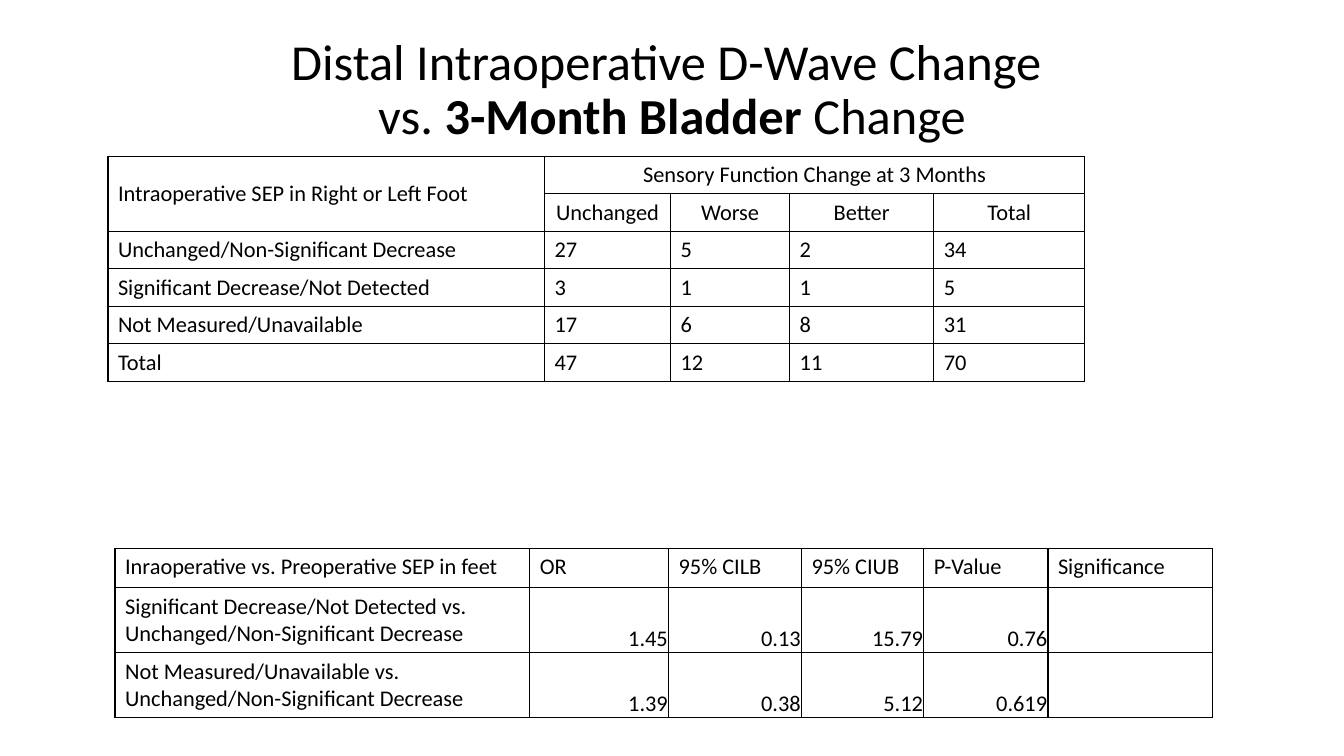
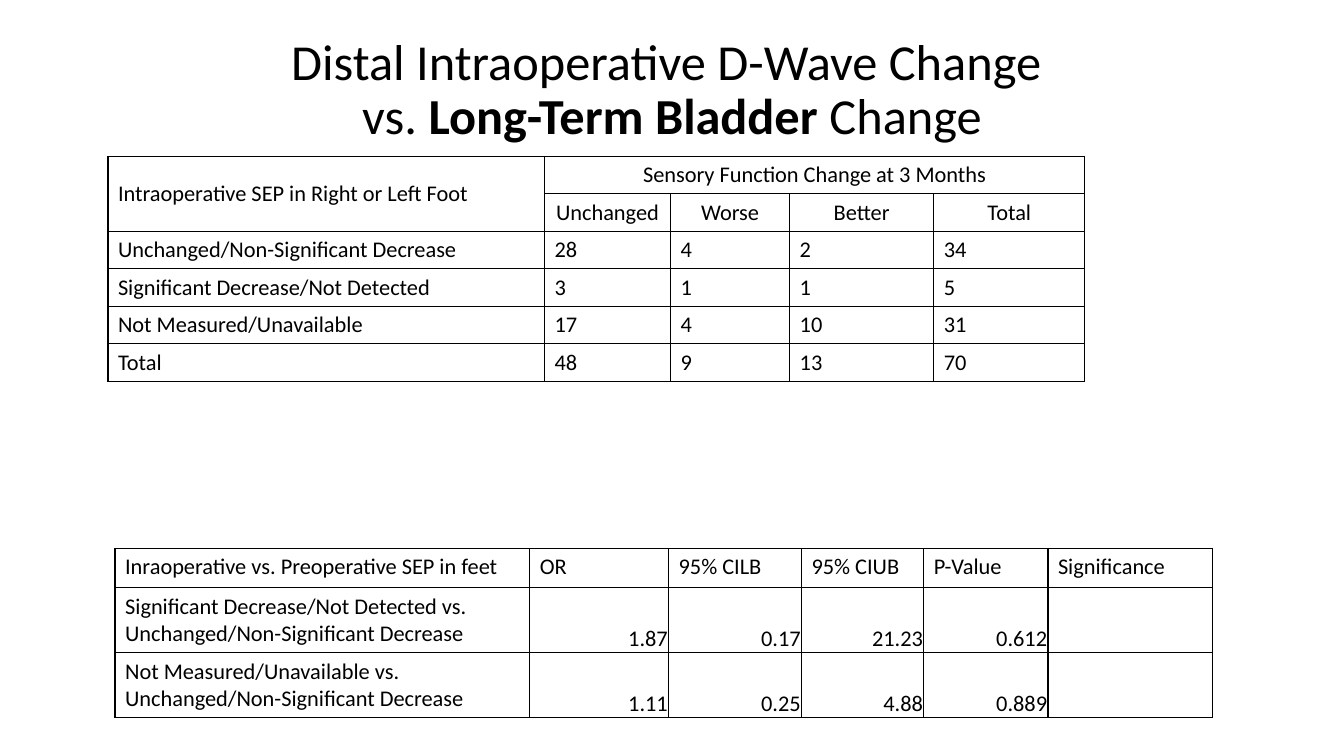
from lxml import etree
from pptx import Presentation
from pptx import util as u
from pptx.dml.color import RGBColor
from pptx.enum import text
from pptx.oxml import ns

HUES = {"ink": "000000", "paper": "FFFFFF"}
LEFT, MID, RIGHT = text.PP_ALIGN.LEFT, text.PP_ALIGN.CENTER, text.PP_ALIGN.RIGHT
TOP, CENTER, BASE = (
    text.MSO_ANCHOR.TOP, text.MSO_ANCHOR.MIDDLE, text.MSO_ANCHOR.BOTTOM)

SAME = "Unchanged/Non-Significant Decrease"
LESS = "Significant Decrease/Not Detected"
NONE = "Not Measured/Unavailable"


class Deck:
    face = "Calibri"
    head = 36
    body = 16

    def __init__(self):
        self.show = Presentation()
        self.show.slide_width = u.Cm(33.87)
        self.show.slide_height = u.Cm(19.05)
        self.page = None

    def slide(self):
        self.page = self.show.slides.add_slide(self.show.slide_layouts[5])
        fill = self.page.background.fill
        fill.solid()
        fill.fore_color.rgb = RGBColor.from_string(HUES["paper"])

    def style(self, run, size, bold=False):
        font = run.font
        font.name = self.face
        font.size = u.Pt(size)
        font.bold = bold
        font.color.rgb = RGBColor.from_string(HUES["ink"])

    def title(self, topic):
        box = self.page.shapes.title
        box.left, box.top = u.Cm(2.33), u.Cm(0.74)
        box.width, box.height = u.Cm(29.21), u.Cm(3.12)
        frame = box.text_frame
        frame.word_wrap = True
        frame.auto_size = text.MSO_AUTO_SIZE.NONE
        frame.vertical_anchor = CENTER
        para = frame.paragraphs[0]
        para.alignment = MID
        para.line_spacing = 0.9
        para.text = "Distal Intraoperative D-Wave Change \vvs. "
        for part in (topic + " ", "Change"):
            para.add_run().text = part
        for run in para.runs:
            self.style(run, self.head, run.text == topic + " ")

    def edge(self, cell):
        props = cell._tc.get_or_add_tcPr()
        for spot, side in enumerate(("lnL", "lnR", "lnT", "lnB")):
            line = etree.Element(ns.qn("a:" + side), w=str(u.Pt(1)))
            fill = etree.SubElement(line, ns.qn("a:solidFill"))
            etree.SubElement(fill, ns.qn("a:srgbClr"), val=HUES["ink"])
            props.insert(spot, line)

    def cell(self, cell, words, align=LEFT, anchor=TOP):
        cell.fill.background()
        self.edge(cell)
        cell.vertical_anchor = anchor
        para = cell.text_frame.paragraphs[0]
        para.text = words
        para.alignment = align
        for run in para.runs:
            self.style(run, self.body)

    def table(self, left, top, cols, rows, data, rule):
        grid = self.page.shapes.add_table(
            len(rows), len(cols), u.Cm(left), u.Cm(top),
            u.Cm(sum(cols)), u.Cm(sum(rows))).table
        grid.first_row = grid.horz_banding = False
        for col, width in zip(grid.columns, cols):
            col.width = u.Cm(width)
        for row, height in zip(grid.rows, rows):
            row.height = u.Cm(height)
        for r, line in enumerate(data):
            for c, words in enumerate(line):
                self.cell(grid.cell(r, c), words, *rule(r, c))
        return grid

    def counts(self, nums):
        def rule(r, c):
            return (MID if r < 2 and c else LEFT, CENTER if r == 0 else TOP)

        data = [
            ["Intraoperative SEP in Right or Left Foot",
             "Sensory Function Change at 3 Months", "", "", ""],
            ["", "Unchanged", "Worse", "Better", "Total"]]
        for name, line in zip((SAME, LESS, NONE, "Total"), nums):
            data.append([name] + line.split())
        grid = self.table(2.72, 3.94, [11, 3.18, 3, 3.63, 3.81],
                          [0.94] * 6, data, rule)
        grid.cell(0, 0).merge(grid.cell(1, 0))
        grid.cell(0, 1).merge(grid.cell(0, 4))

    def odds(self, nums):
        def rule(r, c):
            return (RIGHT, BASE) if r and 0 < c < 5 else (LEFT, TOP)

        data = [["Inraoperative vs. Preoperative SEP in feet", "OR",
                 "95% CILB", "95% CIUB", "P-Value", "Significance"]]
        for name, line in zip((LESS, NONE), nums):
            data.append([f"{name} vs. {SAME}"] + line.split() + [""])
        grid = self.table(2.9, 13.82, [10.45, 3.5, 3.35, 3.08, 3.13, 4.14],
                          [0.99, 1.64, 1.64], data, rule)
        for r in (1, 2):
            for c in range(1, 5):
                cell = grid.cell(r, c)
                cell.margin_left = cell.margin_right = u.Cm(0.02)
                cell.margin_top, cell.margin_bottom = u.Cm(0.02), u.Cm(0)


PAGES = [
    ("3-Month Bladder",
     ["27 5 2 34", "3 1 1 5", "17 6 8 31", "47 12 11 70"],
     ["1.45 0.13 15.79 0.76", "1.39 0.38 5.12 0.619"]),
    ("Long-Term Bladder",
     ["28 4 2 34", "3 1 1 5", "17 4 10 31", "48 9 13 70"],
     ["1.87 0.17 21.23 0.612", "1.11 0.25 4.88 0.889"]),
]


def main():
    deck = Deck()
    for topic, counts, odds in PAGES:
        deck.slide()
        deck.title(topic)
        deck.counts(counts)
        deck.odds(odds)
    deck.show.save("out.pptx")


if __name__ == "__main__":
    main()
